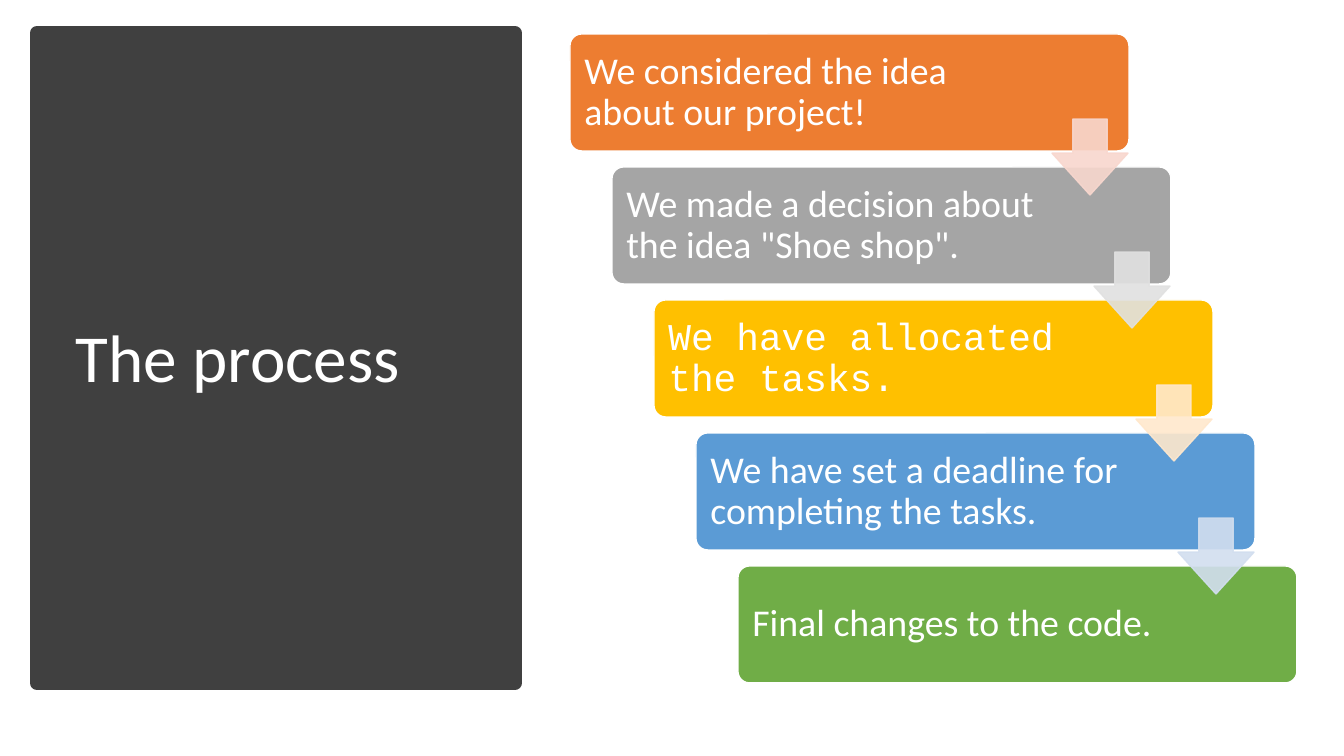
"""Build the slide "The process": a dark title panel beside a staircase of five steps."""
import pptx
import pptx.util
import pptx.dml.color
import pptx.enum.shapes
import pptx.enum.text
import pptx.oxml.ns
import lxml.etree

RGBColor = pptx.dml.color.RGBColor
WHITE = RGBColor(0xFF, 0xFF, 0xFF)
CHARCOAL = RGBColor(0x40, 0x40, 0x40)
ORANGE = RGBColor(0xED, 0x7D, 0x31)
GREY = RGBColor(0xA5, 0xA5, 0xA5)
GOLD = RGBColor(0xFF, 0xC0, 0x00)
BLUE = RGBColor(0x5B, 0x9B, 0xD5)
GREEN = RGBColor(0x70, 0xAD, 0x47)
PALE_ORANGE = RGBColor(0xF8, 0xD7, 0xCE)
PALE_GREY = RGBColor(0xE1, 0xE1, 0xE1)
PALE_GOLD = RGBColor(0xFF, 0xE8, 0xCC)
PALE_BLUE = RGBColor(0xD2, 0xDE, 0xEF)

PIXEL = 914400 / 100.8
STEP_RIGHT, STEP_DOWN = 42, 133
SHAPES = pptx.enum.shapes.MSO_SHAPE


def add_block(page, kind, bounds, fill, line, line_width, adjustments=()):
    block = page.shapes.add_shape(kind, *[round(length * PIXEL) for length in bounds])
    block.shadow.inherit = False
    block.fill.solid()
    block.fill.fore_color.rgb = fill
    block.line.color.rgb = line
    block.line.width = pptx.util.Pt(line_width)
    for index, value in enumerate(adjustments):
        block.adjustments[index] = value
    return block


def write_text(box, text, font, size, margins):
    frame = box.text_frame
    frame.text = text
    left, top, right, bottom = [round(margin * PIXEL) for margin in margins]
    frame_format = {
        "word_wrap": True,
        "auto_size": pptx.enum.text.MSO_AUTO_SIZE.NONE,
        "vertical_anchor": pptx.enum.text.MSO_ANCHOR.MIDDLE,
        "margin_left": left,
        "margin_top": top,
        "margin_right": right,
        "margin_bottom": bottom,
    }
    for name, value in frame_format.items():
        setattr(frame, name, value)
    para = frame.paragraphs[0]
    para.alignment = pptx.enum.text.PP_ALIGN.LEFT
    para.line_spacing = 0.9
    span = para.runs[0]
    span.font.name = font
    span.font.size = pptx.util.Pt(size)
    span.font.color.rgb = WHITE


deck = pptx.Presentation()
deck.slide_width = round(1344 * PIXEL)
deck.slide_height = round(756 * PIXEL)
page = deck.slides.add_slide(deck.slide_layouts[5])

panel = add_block(page, SHAPES.RECTANGLE, (37, 33, 478, 650), CHARCOAL, CHARCOAL, 10)
title = page.shapes.title
title_bounds = {"left": 66, "top": 71, "width": 419, "height": 580}
for name, length in title_bounds.items():
    setattr(title, name, round(length * PIXEL))
write_text(title, "The process", "Calibri", 48, (10, 5, 10, 5))
panel.element.addnext(title.element)

steps = [
    ("We considered the idea about our project!", "Calibri", ORANGE),
    ("We made a decision\u00a0about the idea \"Shoe shop\".", "Calibri", GREY),
    ("We have allocated the tasks.", "Courier New", GOLD),
    ("We have set a deadline for completing the tasks.", "Calibri", BLUE),
    ("Final changes to the code.", "Calibri", GREEN),
]
for index, (text, font, color) in enumerate(steps):
    bounds = (570 + index * STEP_RIGHT, 34 + index * STEP_DOWN, 559, 117)
    step = add_block(page, SHAPES.ROUNDED_RECTANGLE, bounds, color, WHITE, 1, [0.1])
    write_text(step, text, font, 27, (11, 11, 130, 11))

for index, color in enumerate([PALE_ORANGE, PALE_GREY, PALE_GOLD, PALE_BLUE]):
    bounds = (1052 + index * STEP_RIGHT, 119 + index * STEP_DOWN, 76, 76)
    arrow = add_block(page, SHAPES.DOWN_ARROW, bounds, color, color, 1, [0.45, 0.55])
    for tint in arrow.element.spPr.iter(pptx.oxml.ns.qn("a:srgbClr")):
        lxml.etree.SubElement(tint, pptx.oxml.ns.qn("a:alpha"), val="90000")

deck.save("out.pptx")
